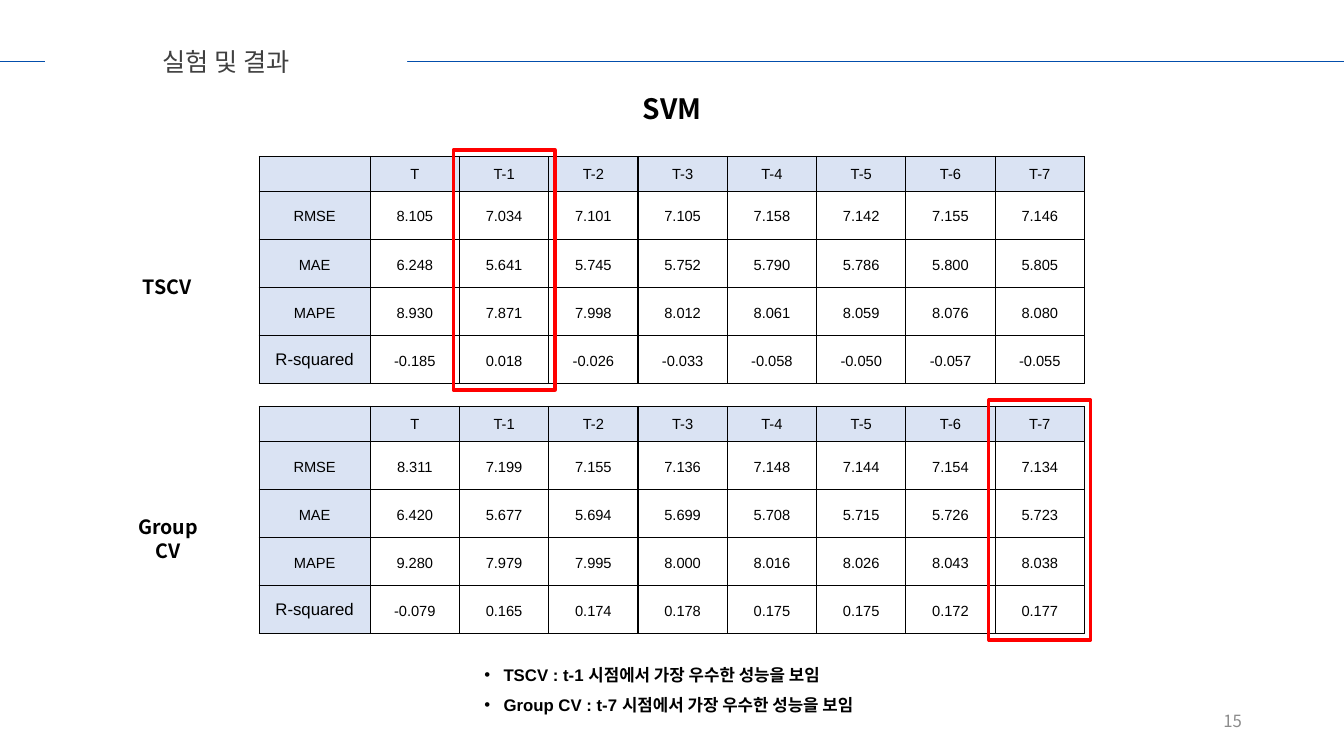
from dataclasses import dataclass

from lxml import etree
from pptx import Presentation
from pptx import util as u
from pptx.dml.color import RGBColor
from pptx.enum import shapes, text
from pptx.oxml.ns import qn


@dataclass(frozen=True)
class Theme:
    heading_font: str = "Noto Sans CJK KR"
    body_font: str = "Arial"
    ink: str = "000000"
    title_ink: str = "404040"
    muted: str = "8C8C8C"
    paper: str = "FFFFFF"
    rule: str = "034EAC"
    header_fill: str = "DAE3F3"
    highlight: str = "FF0000"
    title_size: float = 18
    method_size: float = 20
    label_size: float = 14
    note_size: float = 12
    cell_size: float = 10.5


class SlideBuilder:
    label_width = 2.8
    value_width = 2.25
    header_height = 0.89
    row_height = 1.21
    highlight_pad = 0.16

    def __init__(self, deck, theme):
        self.theme = theme
        self.slide = deck.slides.add_slide(deck.slide_layouts[5])

    def add_span(self, para, words, size, font=None, color=None, bold=False,
                 align=text.PP_ALIGN.CENTER):
        para.alignment = align
        span = para.add_run()
        span.text = words
        span.font.size = u.Pt(size)
        span.font.bold = bold
        span.font.name = font or self.theme.heading_font
        span.font.color.rgb = RGBColor.from_string(color or self.theme.ink)
        east_asian = etree.SubElement(span._r.get_or_add_rPr(), qn("a:ea"))
        east_asian.set("typeface", self.theme.heading_font)

    def title(self, words, left, top, width, height):
        box = self.slide.shapes.title
        box.left, box.top = u.Cm(left), u.Cm(top)
        box.width, box.height = u.Cm(width), u.Cm(height)
        box.fill.solid()
        box.fill.fore_color.rgb = RGBColor.from_string(self.theme.paper)
        frame = box.text_frame
        frame.vertical_anchor = text.MSO_ANCHOR.MIDDLE
        frame.auto_size = text.MSO_AUTO_SIZE.NONE
        self.add_span(frame.paragraphs[0], words, self.theme.title_size,
                      color=self.theme.title_ink)

    def rule_behind_title(self, top, width):
        line = self.slide.shapes.add_connector(
            shapes.MSO_CONNECTOR.STRAIGHT, 0, u.Cm(top), width, u.Cm(top))
        line.line.color.rgb = RGBColor.from_string(self.theme.rule)
        line.line.width = u.Pt(1.25)
        etree.SubElement(line.element.spPr, qn("a:effectLst"))
        self.slide.shapes.title.element.addprevious(line.element)

    def text_box(self, lines, left, top, width, height, size,
                 anchor=text.MSO_ANCHOR.TOP, **style):
        box = self.slide.shapes.add_textbox(
            u.Cm(left), u.Cm(top), u.Cm(width), u.Cm(height))
        frame = box.text_frame
        frame.word_wrap = True
        frame.vertical_anchor = anchor
        for index, words in enumerate(lines):
            para = frame.add_paragraph() if index else frame.paragraphs[0]
            self.add_span(para, words, size, **style)
        return box

    def bullets(self, lines, left, top, width, height):
        box = self.text_box(lines, left, top, width, height, self.theme.note_size,
                            font=self.theme.body_font, bold=True,
                            align=text.PP_ALIGN.LEFT)
        for para in box.text_frame.paragraphs:
            para.line_spacing = 1.5
            properties = para._p.get_or_add_pPr()
            properties.set("marL", str(u.Cm(1.75)))
            properties.set("indent", str(u.Cm(-0.48)))
            font = etree.SubElement(properties, qn("a:buFont"))
            font.set("typeface", self.theme.body_font)
            etree.SubElement(properties, qn("a:buChar")).set("char", "•")

    def borders(self, cell):
        properties = cell._tc.get_or_add_tcPr()
        for side in ("a:lnL", "a:lnR", "a:lnT", "a:lnB"):
            line = etree.SubElement(properties, qn(side), w=str(u.Pt(1)))
            fill = etree.SubElement(line, qn("a:solidFill"))
            etree.SubElement(fill, qn("a:srgbClr"), val=self.theme.ink)

    def cell(self, cell, words, is_header, is_label):
        self.borders(cell)
        if is_header or is_label:
            cell.fill.solid()
            cell.fill.fore_color.rgb = RGBColor.from_string(self.theme.header_fill)
        else:
            cell.fill.background()
        cell.vertical_anchor = text.MSO_ANCHOR.MIDDLE
        para = cell.text_frame.paragraphs[0]
        size = self.theme.cell_size
        if not words:
            etree.SubElement(para._p, qn("a:endParaRPr"), sz=str(int(size * 100)))
            return
        if words == "R-squared":
            size = self.theme.note_size
        elif not is_header:
            para.line_spacing = 1.15
        if not is_header:
            cell.margin_left = cell.margin_right = u.Cm(0.35)
            cell.margin_top = cell.margin_bottom = u.Cm(0.35)
        self.add_span(para, words, size, font=self.theme.body_font)

    def score_table(self, rows, left, top, best):
        count = len(rows[0])
        width = self.label_width + self.value_width * (count - 1)
        height = self.header_height + self.row_height * (len(rows) - 1)
        table = self.slide.shapes.add_table(
            len(rows), count, u.Cm(left), u.Cm(top), u.Cm(width), u.Cm(height)).table
        table.first_row = table.horz_banding = False
        for index, column in enumerate(table.columns):
            column.width = u.Cm(self.value_width if index else self.label_width)
        for r, row in enumerate(rows):
            table.rows[r].height = u.Cm(self.row_height if r else self.header_height)
            for c, words in enumerate(row):
                self.cell(table.cell(r, c), words, r == 0, c == 0)
        pad = self.highlight_pad
        column_left = left + self.label_width + self.value_width * (rows[0].index(best) - 1)
        self.highlight(column_left - pad, top - pad,
                       self.value_width + 2 * pad, height + 2 * pad)

    def highlight(self, left, top, width, height):
        box = self.slide.shapes.add_shape(
            shapes.MSO_SHAPE.RECTANGLE, u.Cm(left), u.Cm(top), u.Cm(width), u.Cm(height))
        box.shadow.inherit = False
        box.fill.background()
        box.line.color.rgb = RGBColor.from_string(self.theme.highlight)
        box.line.width = u.Pt(2.25)


HEADER = ["", "T"] + [f"T-{lag}" for lag in range(1, 8)]
TSCV_SCORES = [
    HEADER,
    ["RMSE", "8.105", "7.034", "7.101", "7.105", "7.158", "7.142", "7.155", "7.146"],
    ["MAE", "6.248", "5.641", "5.745", "5.752", "5.790", "5.786", "5.800", "5.805"],
    ["MAPE", "8.930", "7.871", "7.998", "8.012", "8.061", "8.059", "8.076", "8.080"],
    ["R-squared", "-0.185", "0.018", "-0.026", "-0.033", "-0.058", "-0.050", "-0.057", "-0.055"],
]
GROUP_SCORES = [
    HEADER,
    ["RMSE", "8.311", "7.199", "7.155", "7.136", "7.148", "7.144", "7.154", "7.134"],
    ["MAE", "6.420", "5.677", "5.694", "5.699", "5.708", "5.715", "5.726", "5.723"],
    ["MAPE", "9.280", "7.979", "7.995", "8.000", "8.016", "8.026", "8.043", "8.038"],
    ["R-squared", "-0.079", "0.165", "0.174", "0.178", "0.175", "0.175", "0.172", "0.177"],
]


def main():
    deck = Presentation()
    deck.slide_width, deck.slide_height = u.Cm(33.87), u.Cm(19.05)
    theme = Theme()
    page = SlideBuilder(deck, theme)
    page.title("실험 및 결과", 1.14, 1.04, 9.12, 1.02)
    page.rule_behind_title(1.55, deck.slide_width)
    page.score_table(TSCV_SCORES, 6.53, 3.94, "T-1")
    page.score_table(GROUP_SCORES, 6.53, 10.24, "T-7")
    page.text_box(["TSCV"], 2.74, 6.81, 2.95, 0.86, theme.label_size, bold=True)
    page.text_box(["Group", "CV"], 2.62, 12.85, 3.23, 1.45, theme.label_size, bold=True)
    page.text_box(["SVM"], 13.72, 2.18, 6.45, 1.12, theme.method_size, bold=True)
    page.bullets(["TSCV : t-1 시점에서 가장 우수한 성능을 보임",
                  "Group CV : t-7 시점에서 가장 우수한 성능을 보임"],
                 10.69, 16.36, 12.5, 1.7)
    page.text_box(["15"], 23.93, 17.65, 7.62, 1.02, theme.note_size,
                  anchor=text.MSO_ANCHOR.MIDDLE, color=theme.muted,
                  align=text.PP_ALIGN.RIGHT)
    deck.save("out.pptx")


if __name__ == "__main__":
    main()
